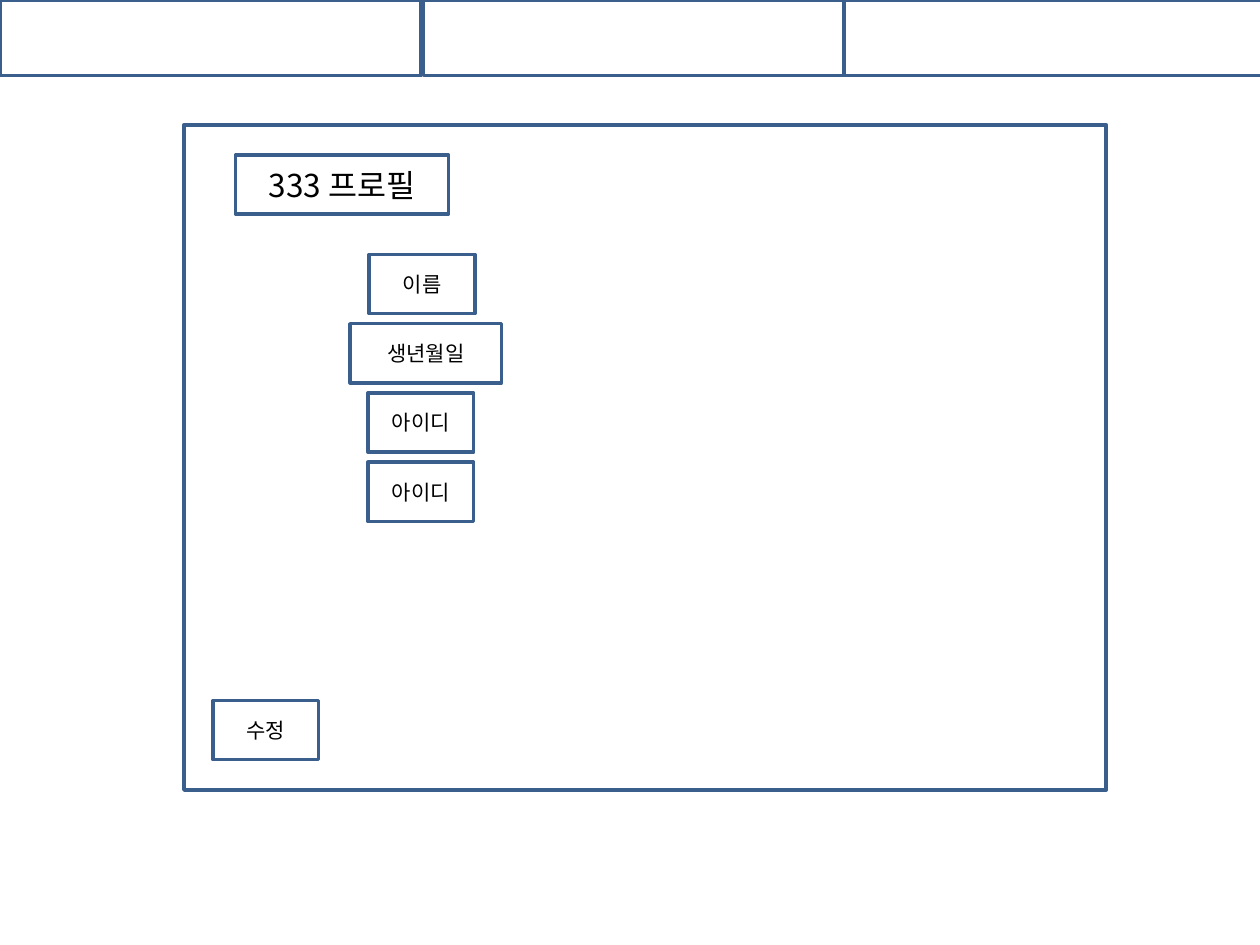
"""Build a profile page wireframe with a tab bar, a panel and labelled fields."""
import dataclasses

import pptx
import pptx.dml.color
import pptx.enum.shapes
import pptx.enum.text
import pptx.oxml
import pptx.oxml.ns
import pptx.util


@dataclasses.dataclass(frozen=True)
class Theme:
    paper: str = "FFFFFF"
    edge: str = "3A5F8C"
    ink: str = "000000"
    font: str = "Noto Sans CJK KR"
    head: int = 18
    body: int = 12
    line: int = 2


THEME = Theme()
WIDE = pptx.util.Inches(10)
HIGH = pptx.util.Inches(7.5)
LABEL_W, LABEL_H = 8.4, 6.27
FIELD_TOP, FIELD_STEP = 26.93, 7.33


def tint(name):
    return pptx.dml.color.RGBColor.from_string(name)


def area(left, top, width, height):
    return (round(left * WIDE / 100), round(top * HIGH / 100),
            round(width * WIDE / 100), round(height * HIGH / 100))


def frame(shape):
    shape.fill.solid()
    shape.fill.fore_color.rgb = tint(THEME.paper)
    shape.line.color.rgb = tint(THEME.edge)
    shape.line.width = pptx.util.Pt(THEME.line)


def write(shape, text, size=THEME.body, color=THEME.ink):
    box = shape.text_frame
    box.word_wrap = True
    box.auto_size = pptx.enum.text.MSO_AUTO_SIZE.NONE
    box.vertical_anchor = pptx.enum.text.MSO_ANCHOR.MIDDLE
    line = box.paragraphs[0]
    line.alignment = pptx.enum.text.PP_ALIGN.CENTER
    run = line.add_run()
    run.text = text
    run.font.size = pptx.util.Pt(size)
    run.font.name = THEME.font
    run.font.color.rgb = tint(color)
    east = pptx.oxml.parse_xml(
        f'<a:ea {pptx.oxml.ns.nsdecls("a")} typeface="{THEME.font}"/>')
    run.font._element.find(pptx.oxml.ns.qn("a:latin")).addnext(east)


def box(slide, *place):
    kind = pptx.enum.shapes.MSO_SHAPE.RECTANGLE
    shape = slide.shapes.add_shape(kind, *area(*place))
    shape.shadow.inherit = False
    frame(shape)
    return shape


def label(slide, text, left, top, width=LABEL_W):
    write(box(slide, left, top, width, LABEL_H), text)


def title(slide, text, *place):
    shape = slide.shapes.title
    shape.left, shape.top, shape.width, shape.height = area(*place)
    frame(shape)
    write(shape, text, size=THEME.head)
    slide.shapes._spTree.append(shape._element)


def main():
    deck = pptx.Presentation()
    deck.slide_width, deck.slide_height = WIDE, HIGH
    slide = deck.slides.add_slide(deck.slide_layouts[5])
    for left in (0, 33.6, 67):
        box(slide, left, 0, 33.4, 8)
    box(slide, 14.6, 13.2, 73.2, 70.4)
    title(slide, "333 프로필", 18.7, 16.4, 16.9, LABEL_H)
    fields = (("이름", 29.3, LABEL_W), ("생년월일", 27.8, 12),
              ("아이디", 29.2, LABEL_W), ("아이디", 29.2, LABEL_W))
    for row, (text, left, width) in enumerate(fields):
        label(slide, text, left, FIELD_TOP + row * FIELD_STEP, width)
    label(slide, "수정", 16.9, 74.13)
    deck.save("out.pptx")


main()
